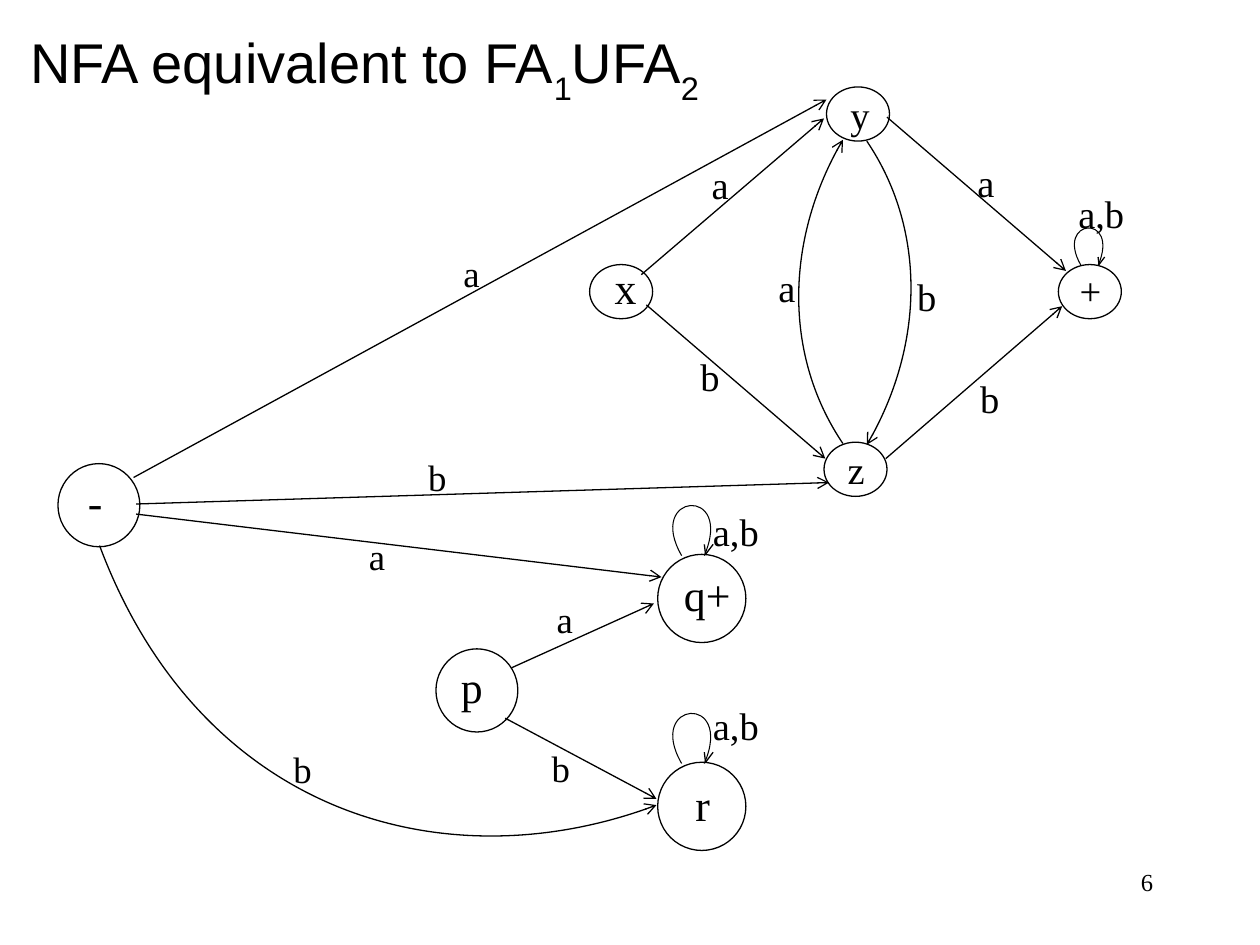
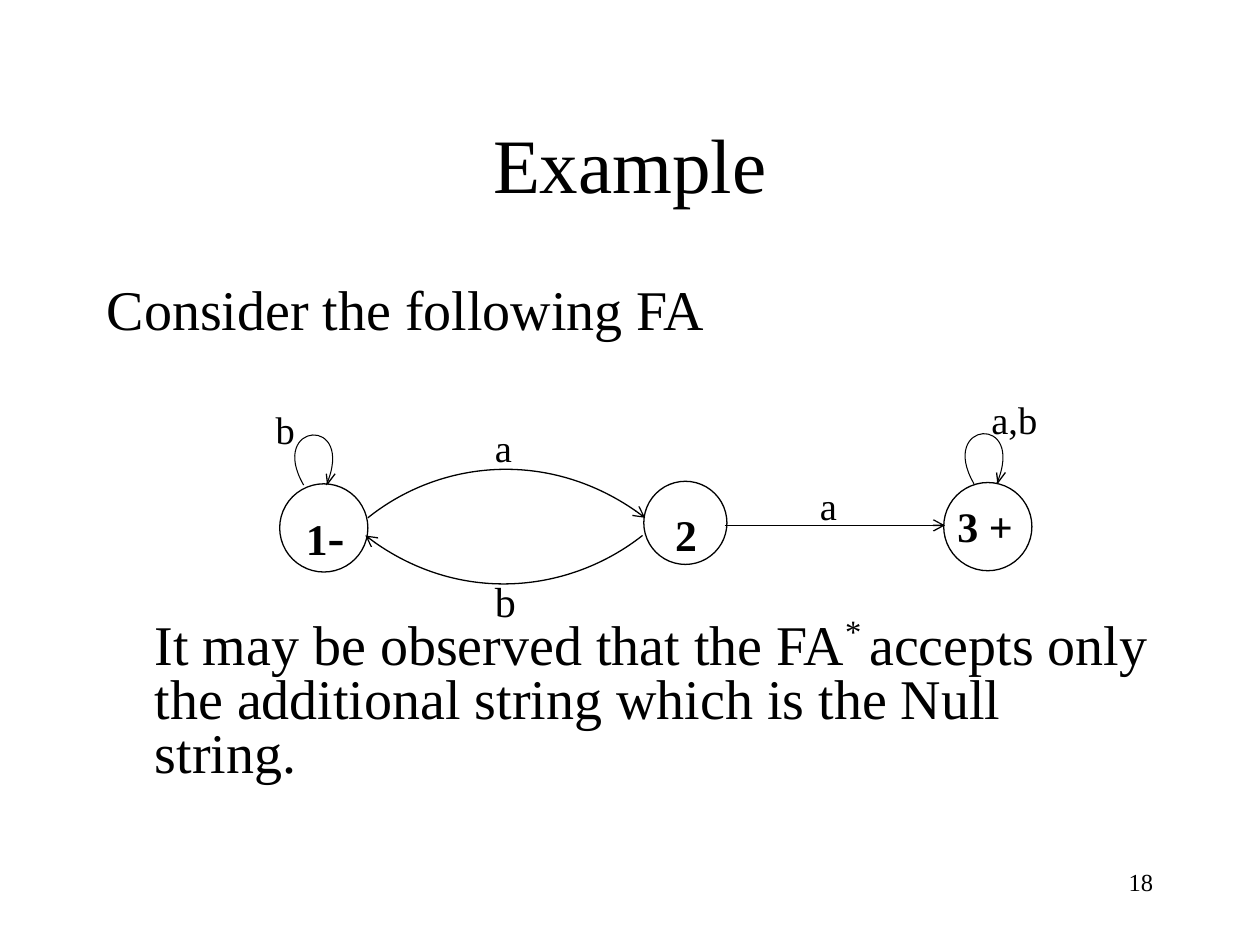
from dataclasses import dataclass

from pptx import Presentation
from pptx.dml.color import RGBColor
from pptx.enum.shapes import MSO_CONNECTOR, MSO_SHAPE
from pptx.enum.text import MSO_ANCHOR as Anchor, MSO_AUTO_SIZE, PP_ALIGN as Align
from pptx.oxml.ns import qn
from pptx.oxml.xmlchemy import OxmlElement
from pptx.util import Inches, Pt


@dataclass(frozen=True)
class Theme:
    ink: RGBColor = RGBColor(0, 0, 0)
    paper: RGBColor = RGBColor(255, 255, 255)
    serif: str = "Times New Roman"
    sans: str = "Arial"
    number: int = 14
    label: int = 22
    small_label: int = 21
    state: int = 25
    body: int = 32
    title: int = 44
    line: float = 0.75
    loop_line: float = 0.6


THEME = Theme()
COLUMNS, ROWS = 10, 7.5  # grid of one-inch cells
NUMBER_AREA = (7.17, 6.83, 2.08, 0.5)
LABEL_SIZE = (0.7, 0.5)
WIDE_LABEL_SIZE = (0.98, 0.5)

# A loop over a state: offsets from the middle of the state's top
LOOP = [(-0.16, 0.01), (-0.45, -0.49), (0.26, -0.55), (0.02, 0.01)]
LOOP_HEAD = [(0.09, -0.08), (0.03, 0), (0.02, -0.08)]

# Content: states are (left, top, width, height); labels are (text, left, top, size)
SMALL, MEDIUM, LARGE = (0.5, 0.43), (0.65, 0.66), (0.7, 0.7)
UNION = {
    "number": "6",
    "title": [("NFA equivalent to FA", 0), ("1", -30), ("UFA", 0), ("2", -30)],
    "title_area": (0.14, 0.17, 9.25, 0.58),
    "title_format": {"size": Pt(THEME.body), "name": THEME.sans},
    "title_align": Align.LEFT,
    "title_anchor": Anchor.TOP,
    "states": {
        "x": (4.68, 2.1, *SMALL),
        "y": (6.56, 0.69, *SMALL),
        "z": (6.54, 3.51, *SMALL),
        "+": (8.4, 2.1, *SMALL),
        "-": (0.46, 3.68, *MEDIUM),
        "p": (3.46, 5.15, *MEDIUM),
        "q+": (5.22, 4.4, *LARGE),
        "r": (5.22, 6.05, *LARGE),
    },
    "loops": [("+", 0.05, 0.75), ("q+", 0, 1), ("r", 0, 1)],  # state, shift, scale
    "arrows": [
        (5.09, 2.18, 6.54, 0.94), (7.04, 0.93, 8.46, 2.15),
        (5.13, 2.42, 6.55, 3.64), (7.03, 3.64, 8.43, 2.43),
        (4.06, 5.3, 5.19, 4.79), (4.01, 5.7, 5.21, 6.34),
        (1.06, 3.79, 6.56, 0.79), (1.08, 4, 6.58, 3.83), (1.08, 4.08, 5.25, 4.58),
    ],
    "curves": [
        [(6.88, 1.12), (7.34, 1.8), (7.34, 2.75), (6.88, 3.53)],
        [(6.69, 3.52), (6.23, 2.84), (6.23, 1.89), (6.69, 1.11)],
        [(0.79, 4.33), (1.58, 6.44), (3.54, 7.02), (5.21, 6.39)],
    ],
    "state_names": [
        ("x", 4.78, 2.02, THEME.state), ("y", 6.65, 0.67, THEME.label),
        ("z", 6.63, 3.49, THEME.label), ("+", 8.47, 2.07, THEME.label),
        ("-", 0.6, 3.72, THEME.state), ("p", 3.56, 5.19, THEME.state),
        ("q+", 5.33, 4.46, THEME.state), ("r", 5.42, 6.12, THEME.state),
    ],
    "bold_names": False,
    "labels": [
        ("a", 5.55, 1.23, THEME.label), ("b", 5.46, 2.75, THEME.label),
        ("a", 7.66, 1.21, THEME.label), ("b", 7.68, 2.93, THEME.label),
        ("b", 7.18, 2.12, THEME.label), ("a", 6.08, 2.05, THEME.label),
        ("a,b", 8.46, 1.46, THEME.label), ("a,b", 5.56, 3.98, THEME.label),
        ("a,b", 5.56, 5.52, THEME.label), ("b", 4.28, 5.87, THEME.small_label),
        ("a", 4.32, 4.69, THEME.small_label), ("b", 2.23, 5.88, THEME.small_label),
        ("a", 2.83, 4.19, THEME.small_label), ("a", 3.58, 1.94, THEME.small_label),
        ("b", 3.3, 3.56, THEME.small_label),
    ],
}
EXAMPLE = {
    "number": "18",
    "title": [("Example", 0)],
    "title_area": (0.75, 0.67, 8.5, 1.25),
    "title_format": {"size": Pt(THEME.title), "name": THEME.serif},
    "title_align": Align.CENTER,
    "title_anchor": Anchor.MIDDLE,
    "states": {
        "1-": (2.22, 3.84, *LARGE),
        "2": (5.11, 3.82, 0.66, 0.66),
        "3 +": (7.49, 3.83, *LARGE),
    },
    "loops": [("1-", 0, 1), ("3 +", 0.05, 1)],
    "arrows": [(5.75, 4.17, 7.5, 4.17)],
    "curves": [
        [(2.92, 4.11), (3.48, 3.66), (4.39, 3.55), (5.12, 4.11)],
        [(5.1, 4.25), (4.53, 4.7), (3.62, 4.81), (2.9, 4.25)],
    ],
    "state_names": [
        ("1", 2.33, 3.96, THEME.state), ("2", 5.26, 3.98, THEME.state),
        ("3 +", 7.5, 3.92, 24),
    ],
    "bold_names": True,
    "name_suffix": {"1": ("-", 29)},
    "labels": [
        ("a,b", 7.77, 3.09, THEME.label), ("b", 2.09, 3.17, THEME.label),
        ("a", 3.83, 3.32, THEME.label), ("a", 6.41, 3.78, THEME.label),
        ("b", 3.83, 4.52, 24),
    ],
    "body_area": (0.75, 2.17, 8.5, 4.5),
    "body": [
        # spans, first-line indent, space before
        ([("Consider the following FA", 0)], -0.38, 0),
        ([("It may be observed that the FA", 0), ("* ", 40),
          ("accepts only the additional string which is the Null string.", 0)], 0, 161),
    ],
}


def set_all(target, values):
    for name, value in values.items():
        setattr(target, name, value)


def place(shape, area):
    names = ("left", "top", "width", "height")
    set_all(shape, dict(zip(names, map(Inches, area))))


def add_span(para, text, size, baseline=0, **extra):
    span = para.add_run()
    span.text = text
    set_all(span.font, {"size": Pt(size), "name": THEME.serif, **extra})
    span.font.color.rgb = THEME.ink
    if baseline:
        span.font._element.set("baseline", str(baseline * 1000))
    return span


def add_text(page, text, area, size, align=Align.LEFT, **extra):
    box = page.shapes.add_textbox(*map(Inches, area))
    box.text_frame.word_wrap = True
    para = box.text_frame.paragraphs[0]
    para.alignment = align
    add_span(para, text, size, **extra)
    return para


def format_line(shape, width=THEME.line, arrow=False):
    shape.line.color.rgb = THEME.ink
    shape.line.width = Pt(width)
    if arrow:
        tip = OxmlElement("a:tailEnd")
        tip.set("type", "arrow")
        shape.line._get_or_add_ln().append(tip)


def add_outline(page, points, curved=False, **line):
    """Draw an open outline; curved makes four points one cubic curve."""
    start, *others = [(Inches(x), Inches(y)) for x, y in points]
    builder = page.shapes.build_freeform(*start)
    builder.add_line_segments(others, close=False)
    shape = builder.convert_to_shape()
    shape.shadow.inherit = False
    shape.fill.background()
    format_line(shape, **line)
    if curved:
        segments = list(shape.element.iter(qn("a:lnTo")))
        curve = OxmlElement("a:cubicBezTo")
        segments[0].addprevious(curve)
        for segment in segments:
            curve.append(segment[0])
            segment.getparent().remove(segment)


def add_state(page, area):
    state = page.shapes.add_shape(MSO_SHAPE.OVAL, *map(Inches, area))
    state.shadow.inherit = False
    state.fill.solid()
    state.fill.fore_color.rgb = THEME.paper
    format_line(state)


def add_loop(page, area, shift, scale):
    left, top, width, _ = area
    middle = left + width / 2 + shift

    def around(offsets):
        return [(middle + x * scale, top + y * scale) for x, y in offsets]

    add_outline(page, around(LOOP), curved=True, width=THEME.loop_line)
    add_outline(page, around(LOOP_HEAD))


def add_arrow(page, ends):
    arrow = page.shapes.add_connector(MSO_CONNECTOR.STRAIGHT, *map(Inches, ends))
    format_line(arrow, arrow=True)
    arrow.element.spPr.append(OxmlElement("a:effectLst"))


def add_title(page, content):
    title = page.shapes.title
    place(title, content["title_area"])
    set_all(title.text_frame, {
        "word_wrap": True, "auto_size": MSO_AUTO_SIZE.NONE,
        "vertical_anchor": content["title_anchor"],
    })
    para = title.text_frame.paragraphs[0]
    para.alignment = content["title_align"]
    for text, baseline in content["title"]:
        span = add_span(para, text, THEME.title, baseline)
        set_all(span.font, content["title_format"])


def add_body(page, content):
    box = page.shapes.add_textbox(*map(Inches, content["body_area"]))
    frame = box.text_frame
    set_all(frame, {"word_wrap": True, "margin_top": Inches(0.11)})
    for index, (spans, indent, before) in enumerate(content["body"]):
        para = frame.add_paragraph() if index else frame.paragraphs[0]
        set_all(para, {"line_spacing": 0.8, "space_before": Pt(before)})
        properties = para._p.get_or_add_pPr()
        properties.set("marL", str(Inches(0.38)))
        properties.set("indent", str(Inches(indent)))
        for text, baseline in spans:
            add_span(para, text, THEME.body, baseline)


def add_automaton(page, content):
    # States and their loops
    states = content["states"]
    for area in states.values():
        add_state(page, area)
    for name, shift, scale in content["loops"]:
        add_loop(page, states[name], shift, scale)

    # Transitions
    for ends in content["arrows"]:
        add_arrow(page, ends)
    for points in content["curves"]:
        add_outline(page, points, curved=True, arrow=True)

    # State names and transition labels
    bold = content["bold_names"]
    for text, left, top, size in content["state_names"]:
        para = add_text(page, text, (left, top, *LABEL_SIZE), size, bold=bold)
        if text in content.get("name_suffix", {}):
            add_span(para, *content["name_suffix"][text], bold=bold)
    for text, left, top, size in content["labels"]:
        extent = WIDE_LABEL_SIZE if "," in text else LABEL_SIZE
        add_text(page, text, (left, top, *extent), size)


def main():
    deck = Presentation()
    deck.slide_width, deck.slide_height = Inches(COLUMNS), Inches(ROWS)
    for content in (UNION, EXAMPLE):
        page = deck.slides.add_slide(deck.slide_layouts[5])
        add_title(page, content)
        if "body" in content:
            add_body(page, content)
        add_automaton(page, content)
        add_text(page, content["number"], NUMBER_AREA, THEME.number, Align.RIGHT)
    deck.save("out.pptx")


if __name__ == "__main__":
    main()
